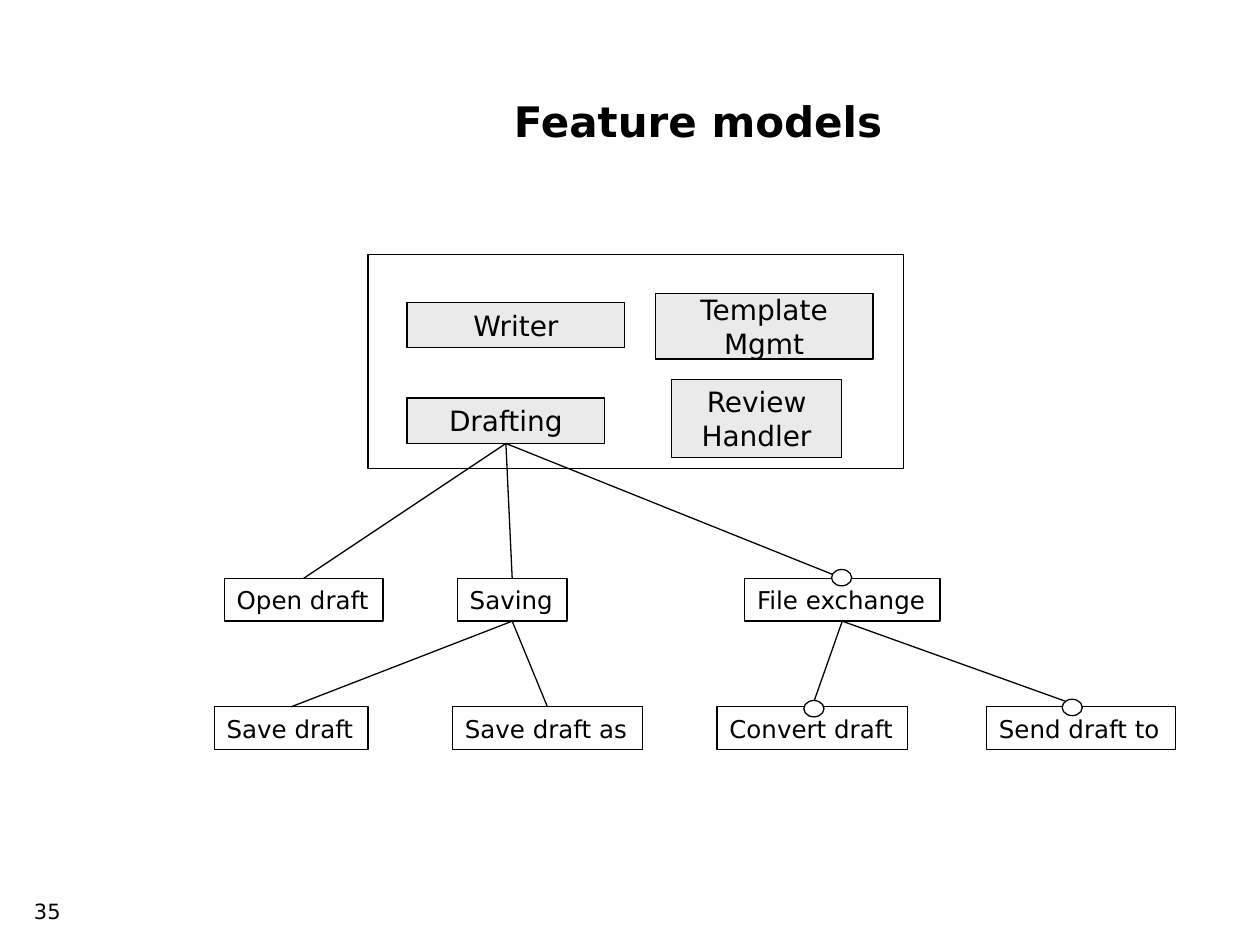
from dataclasses import dataclass

from lxml.etree import SubElement
from pptx import Presentation
from pptx.dml.color import RGBColor as Rgb
from pptx.enum.shapes import MSO_CONNECTOR as Link, MSO_SHAPE as Kind
from pptx.enum.text import MSO_ANCHOR as Anchor, MSO_AUTO_SIZE as Fit, PP_ALIGN as Align
from pptx.oxml.ns import qn
from pptx.util import Inches, Pt


@dataclass(frozen=True)
class Theme:
    font: str = "DejaVu Sans"
    ink: Rgb = Rgb(0, 0, 0)
    paper: Rgb = Rgb(255, 255, 255)
    gray: Rgb = Rgb(0xEA, 0xEA, 0xEA)
    title: int = 24
    block: int = 16
    leaf: int = 14
    small: int = 12
    line: float = 0.75


THEME = Theme()
TOP, BOTTOM = 0, 2  # connection sites of a rectangle

# Components inside the frame: place, vertical inset, grows with its text
BLOCKS = {
    "Template Mgmt": ((5.2, 2.33, 1.73, 0.52), 0.12, False),
    "Drafting": ((3.23, 3.16, 1.57, 0.36), 0.04, True),
    "Writer": ((3.23, 2.4, 1.73, 0.36), 0.04, True),
    "Review Handler": ((5.33, 3.01, 1.35, 0.62), 0.04, True),
}

# Feature rows: top, then name, left and width
ROWS = [
    (4.59, [("Open draft", 1.78, 1.26), ("Saving", 3.63, 0.87),
            ("File exchange", 5.91, 1.55)]),
    (5.61, [("Save draft", 1.7, 1.22), ("Save draft as", 3.59, 1.51),
            ("Convert draft", 5.69, 1.51), ("Send draft to", 7.83, 1.5)]),
]

TREE = {
    "Drafting": ["Open draft", "Saving", "File exchange"],
    "Saving": ["Save draft", "Save draft as"],
    "File exchange": ["Send draft to", "Convert draft"],
}

# Circles that mark optional features
DOTS = [(6.6, 4.52), (6.38, 5.56), (8.43, 5.55)]

# Arc across the alternatives: start point, then Bezier segments
START = (6.62, 5.14)
CURVES = [
    ((6.63, 5.15), (6.68, 5.19), (6.72, 5.2)),
    ((6.76, 5.22), (6.79, 5.23), (6.83, 5.23)),
    ((6.87, 5.22), (6.94, 5.21), (6.98, 5.19)),
    ((7.02, 5.16), (7.05, 5.09), (7.07, 5.07)),
]


def write(shape, text, size, align, bold=False):
    frame = shape.text_frame
    frame.text = text
    para = frame.paragraphs[0]
    para.alignment = align
    font = para.runs[0].font
    font.name, font.size, font.bold = THEME.font, Pt(size), bold
    font.color.rgb = THEME.ink
    return frame


def stroke(shape):
    shape.line.color.rgb = THEME.ink
    shape.line.width = Pt(THEME.line)


def draw(slide, kind, place, fill):
    shape = slide.shapes.add_shape(kind, *map(Inches, place))
    shape.shadow.inherit = False
    shape.fill.solid()
    shape.fill.fore_color.rgb = fill
    stroke(shape)
    return shape


def add_block(slide, name, place, inset, grow):
    box = draw(slide, Kind.RECTANGLE, place, THEME.gray)
    frame = write(box, name, THEME.block, Align.CENTER)
    frame.margin_left = frame.margin_right = Inches(0.02)
    frame.margin_top = frame.margin_bottom = Inches(inset)
    frame.vertical_anchor = Anchor.MIDDLE
    frame.word_wrap = True
    frame.auto_size = Fit.SHAPE_TO_FIT_TEXT if grow else Fit.NONE
    return box


def add_leaf(slide, name, left, top, width):
    box = draw(slide, Kind.RECTANGLE, (left, top, width, 0.34), THEME.paper)
    frame = write(box, name, THEME.leaf, Align.LEFT)
    frame.vertical_anchor = Anchor.MIDDLE
    frame.word_wrap = False
    frame.auto_size = Fit.SHAPE_TO_FIT_TEXT
    return box


def join(slide, child, parent):
    line = slide.shapes.add_connector(Link.STRAIGHT, 0, 0, 0, 0)
    line.begin_connect(child, TOP)
    line.end_connect(parent, BOTTOM)
    stroke(line)
    SubElement(line._element.spPr, qn("a:effectLst"))


def bezier(a, b, c, d, steps=8):
    for i in range(1, steps + 1):
        t = i / steps
        u = 1 - t
        yield tuple(u**3 * p + 3 * u * u * t * q + 3 * u * t * t * r + t**3 * s
                    for p, q, r, s in zip(a, b, c, d))


def add_arc(slide):
    points, pen = [], START
    for curve in CURVES:
        points += bezier(pen, *curve)
        pen = curve[-1]
    outline = slide.shapes.build_freeform(*START, scale=Inches(1))
    outline.add_line_segments(points, close=False)
    arc = outline.convert_to_shape()
    arc.shadow.inherit = False
    arc.fill.background()
    stroke(arc)


def add_title(slide, text):
    title = slide.shapes.title
    title.left, title.top, title.width, title.height = map(
        Inches, (1.5, 0.33, 8.08, 1.25))
    frame = write(title, text, THEME.title, Align.CENTER, bold=True)
    frame.vertical_anchor = Anchor.MIDDLE


def add_number(slide, text):
    box = slide.shapes.add_textbox(*map(Inches, (0, 7.08, 0.58, 0.42)))
    write(box, text, THEME.small, Align.RIGHT).word_wrap = True


def main():
    deck = Presentation()
    deck.slide_width, deck.slide_height = Inches(10), Inches(7.5)
    slide = deck.slides.add_slide(deck.slide_layouts[5])

    # Title and page number
    add_number(slide, "35")
    add_title(slide, "Feature models")

    # Frame with components
    draw(slide, Kind.RECTANGLE, (2.92, 2.02, 4.25, 1.7), THEME.paper)
    boxes = {name: add_block(slide, name, *rest) for name, rest in BLOCKS.items()}

    # Feature tree
    for top, leaves in ROWS:
        for name, left, width in leaves:
            boxes[name] = add_leaf(slide, name, left, top, width)
    for parent, children in TREE.items():
        for child in children:
            join(slide, boxes[child], boxes[parent])

    # Optional and alternative marks
    for left, top in DOTS:
        draw(slide, Kind.OVAL, (left, top, 0.16, 0.13), THEME.paper)
    add_arc(slide)

    deck.save("out.pptx")


if __name__ == "__main__":
    main()
